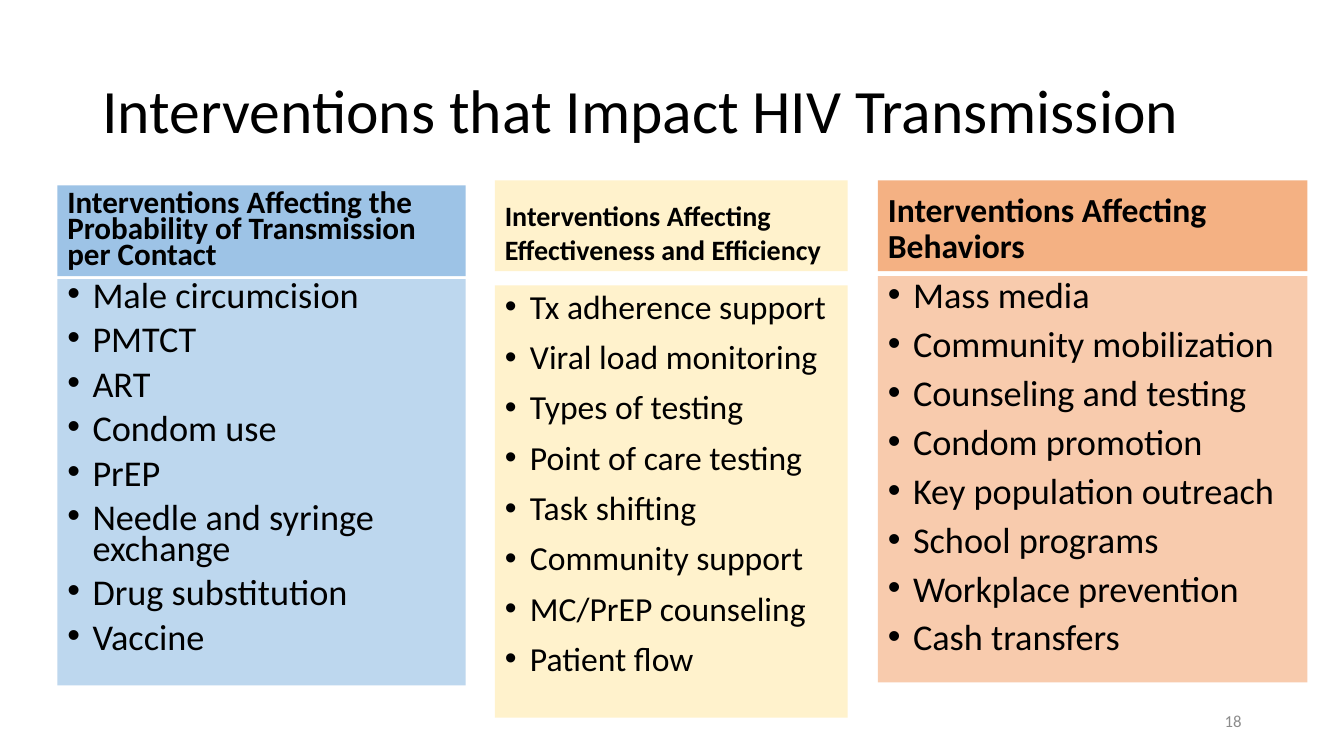
from dataclasses import dataclass

from lxml.etree import SubElement
from pptx import Presentation
from pptx.dml.color import RGBColor
from pptx.enum.shapes import MSO_SHAPE
from pptx.enum.text import MSO_ANCHOR, MSO_AUTO_SIZE, PP_ALIGN
from pptx.oxml.ns import qn
from pptx.slide import Slide
from pptx.text.text import TextFrame, _Paragraph
from pptx.util import Pt


@dataclass(frozen=True)
class Theme:
    font: str = "Calibri"
    text: str = "000000"
    muted: str = "8C8C8C"
    blue: str = "9DC3E6"
    light_blue: str = "BDD7EE"
    cream: str = "FFF2CC"
    orange: str = "F4B183"
    light_orange: str = "F8CBAD"
    title_size: float = 44
    body_size: float = 25.9
    small_body_size: float = 24
    number_size: float = 12
    gap: float = 10
    indent: float = 18


@dataclass(frozen=True)
class Box:
    left: float
    top: float
    width: float
    height: float


@dataclass(frozen=True)
class Panel:
    box: Box
    fill: str
    size: float
    spacing: float
    lines: list[str]
    heading: bool = False


THEME = Theme()

PANELS = [
    # Probability of transmission
    Panel(Box(41, 132.5, 291.6, 64.8), THEME.blue, 22.2, 0.7,
          ["Interventions Affecting the Probability of Transmission per Contact"],
          heading=True),
    Panel(Box(41, 199.4, 291.6, 290.2), THEME.light_blue, THEME.body_size, 0.7,
          ["Male circumcision", "PMTCT", "ART", "Condom use", "PrEP",
           "Needle and syringe exchange", "Drug substitution", "Vaccine"]),
    # Effectiveness and efficiency
    Panel(Box(353.5, 128.9, 252, 64.8), THEME.cream, 20, 1.0,
          ["Interventions Affecting Effectiveness and Efficiency"],
          heading=True),
    Panel(Box(353.5, 203.8, 252, 308.9), THEME.cream, THEME.small_body_size, 0.9,
          ["Tx adherence support", "Viral load monitoring", "Types of testing",
           "Point of care testing", "Task shifting", "Community support",
           "MC/PrEP counseling", "Patient flow"]),
    # Behaviors
    Panel(Box(627.1, 128.9, 306.7, 64.8), THEME.orange, 24, 0.9,
          ["Interventions Affecting Behaviors"], heading=True),
    Panel(Box(627.1, 197.3, 306.7, 290.2), THEME.light_orange, THEME.body_size, 0.8,
          ["Mass media", "Community mobilization", "Counseling and testing",
           "Condom promotion", "Key population outreach", "School programs",
           "Workplace prevention", "Cash transfers"]),
]


def style_paragraph(p: _Paragraph, size: float, color: str = THEME.text,
                    bold: bool = False, align: PP_ALIGN = PP_ALIGN.LEFT) -> None:
    p.alignment = align
    for r in p.runs:
        r.font.name = THEME.font
        r.font.size = Pt(size)
        r.font.bold = bold
        r.font.color.rgb = RGBColor.from_string(color)


def style_frame(tf: TextFrame, anchor: MSO_ANCHOR) -> None:
    tf.word_wrap = True
    tf.auto_size = MSO_AUTO_SIZE.NONE
    tf.vertical_anchor = anchor


def add_bullet(p: _Paragraph) -> None:
    pPr = p._p.get_or_add_pPr()
    pPr.set("marL", str(Pt(THEME.indent)))
    pPr.set("indent", str(-Pt(THEME.indent)))
    SubElement(pPr, qn("a:buFont")).set("typeface", "Arial")
    SubElement(pPr, qn("a:buChar")).set("char", "•")


def add_title(s: Slide, text: str, box: Box) -> None:
    sp = s.shapes.title
    sp.left, sp.top = Pt(box.left), Pt(box.top)
    sp.width, sp.height = Pt(box.width), Pt(box.height)
    tf = sp.text_frame
    tf.text = text
    style_frame(tf, MSO_ANCHOR.MIDDLE)
    tf.paragraphs[0].line_spacing = 0.9
    style_paragraph(tf.paragraphs[0], THEME.title_size)


def add_panel(s: Slide, panel: Panel) -> None:
    box = panel.box
    sp = s.shapes.add_shape(MSO_SHAPE.RECTANGLE, Pt(box.left), Pt(box.top),
                            Pt(box.width), Pt(box.height))
    sp.shadow.inherit = False
    sp.fill.solid()
    sp.fill.fore_color.rgb = RGBColor.from_string(panel.fill)
    sp.line.fill.background()
    tf = sp.text_frame
    tf.text = "\n".join(panel.lines)
    style_frame(tf, MSO_ANCHOR.BOTTOM if panel.heading else MSO_ANCHOR.TOP)
    for p in tf.paragraphs:
        p.line_spacing = panel.spacing
        p.space_before = Pt(THEME.gap)
        style_paragraph(p, panel.size, bold=panel.heading)
        if not panel.heading:
            add_bullet(p)


def add_slide_number(s: Slide, text: str, box: Box) -> None:
    sp = s.shapes.add_textbox(Pt(box.left), Pt(box.top), Pt(box.width), Pt(box.height))
    tf = sp.text_frame
    tf.text = text
    style_frame(tf, MSO_ANCHOR.MIDDLE)
    style_paragraph(tf.paragraphs[0], THEME.number_size, THEME.muted,
                    align=PP_ALIGN.RIGHT)


def main() -> None:
    prs = Presentation()
    prs.slide_width, prs.slide_height = Pt(960), Pt(540)
    s = prs.slides.add_slide(prs.slide_layouts[5])

    add_title(s, "Interventions that Impact HIV Transmission", Box(66, 28.8, 828, 104.4))
    for panel in PANELS:
        add_panel(s, panel)
    add_slide_number(s, "18", Box(678, 500.5, 216, 28.8))

    prs.save("out.pptx")


if __name__ == "__main__":
    main()
